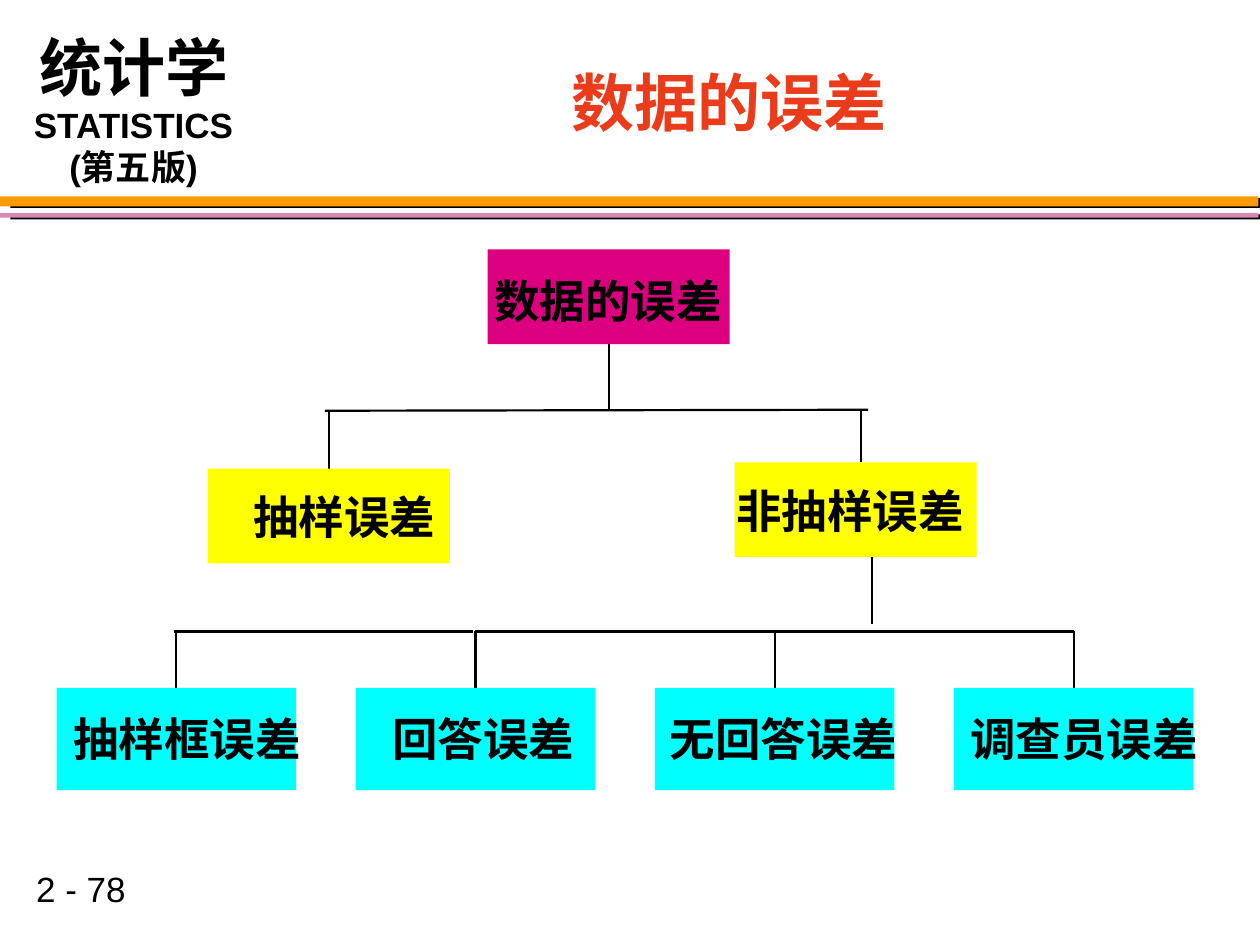
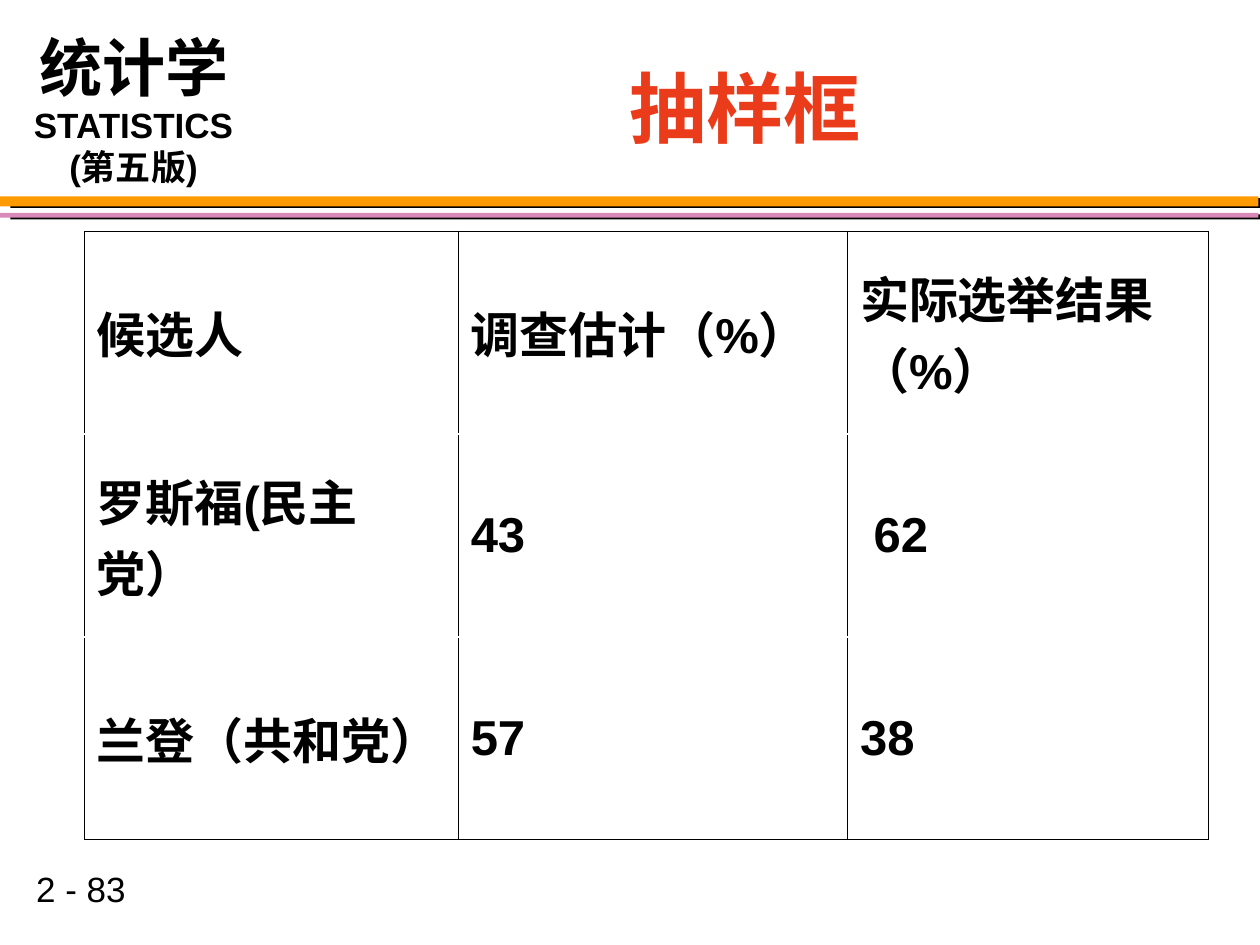
from collections import namedtuple

from lxml import etree
from pptx import Presentation
from pptx.dml.color import RGBColor
from pptx.enum.shapes import MSO_CONNECTOR, MSO_SHAPE
from pptx.enum.text import MSO_ANCHOR, PP_ALIGN
from pptx.oxml.ns import qn
from pptx.util import Cm, Pt

RECTANGLE = MSO_SHAPE.RECTANGLE
STRAIGHT = MSO_CONNECTOR.STRAIGHT
MIDDLE = MSO_ANCHOR.MIDDLE
LEFT, CENTER = PP_ALIGN.LEFT, PP_ALIGN.CENTER

COLORS = {
    "ink": "000000",
    "paper": "FFFFFF",
    "title": "EA3C1A",
    "orange": "FE9B03",
    "pink": "D989B8",
    "root": "DC0081",
    "branch": "FFFF00",
    "leaf": "00FFFF",
}
LATIN, CHINESE = "Arial", "Noto Sans CJK SC"

Box = namedtuple("Box", "left top width height")

LOGO = Box(0.43, 0.28, 4.88, 3.63)
BANDS = Box(0, 3.96, 25.37, 0.43)
NUMBER = Box(0.48, 17.35, 4.75, 1.09)
TREE = Box(1.14, 5.03, 22.92, 10.9)
TABLE = Box(1.7, 4.66, 22.65, 12.27)

LEAVES = [("抽样框误差", 0.33), ("回答误差", 0.74), ("无回答误差", 0.3), ("调查员误差", 0.33)]
CANDIDATES = [
    ["候选人", "调查估计（%）", "实际选举结果（%）"],
    ["罗斯福(民主党）", "43", "62"],
    ["兰登（共和党）", "57", "38"],
]


def lengths(box):
    """Return the sides of a box as centimetre lengths."""
    return [Cm(side) for side in box]


def write_text(frame, text, size, color="ink", bold=True, font=LATIN, align=LEFT, spacing=None):
    """Add one formatted paragraph to a text frame and return it."""
    para = frame.add_paragraph() if frame.text else frame.paragraphs[0]
    para.alignment = align
    if spacing:
        para.line_spacing = spacing
    span = para.add_run()
    span.text = text
    span.font.size = Pt(size)
    span.font.bold = bold
    span.font.color.rgb = RGBColor.from_string(COLORS[color])
    span.font.name = font
    etree.SubElement(span._r.get_or_add_rPr(), qn("a:ea"), typeface=CHINESE)
    return para


def add_frame(page, box, margins=(0.25, 0.13, 0.25, 0.13), wrap=False):
    """Add a text box and return its text frame."""
    frame = page.shapes.add_textbox(*lengths(box)).text_frame
    frame.word_wrap = wrap
    (frame.margin_left, frame.margin_top,
     frame.margin_right, frame.margin_bottom) = lengths(margins)
    return frame


def add_block(page, box, color):
    """Add a plain filled rectangle without outline or shadow."""
    block = page.shapes.add_shape(RECTANGLE, *lengths(box))
    block.shadow.inherit = False
    block.fill.solid()
    block.fill.fore_color.rgb = RGBColor.from_string(COLORS[color])
    block.line.fill.background()
    return block


def add_line(page, box, start, end):
    """Add a black line between two points measured from the box corner."""
    points = [Cm(corner + offset) for point in (start, end)
              for corner, offset in zip((box.left, box.top), point)]
    line = page.shapes.add_connector(STRAIGHT, *points)
    line.line.width = Pt(1.25)
    line.line.color.rgb = RGBColor.from_string(COLORS["ink"])
    etree.SubElement(line._element.spPr, qn("a:effectLst"))


def add_bands(page, box):
    """Add the two shadowed bands under the header."""
    for offset, height, color in ((0, 0.2, "orange"), (0.33, 0.1, "pink")):
        band = add_block(page, Box(box.left, box.top + offset, box.width, height), color)
        effects = band._element.spPr.find(qn("a:effectLst"))
        shadow = etree.SubElement(effects, qn("a:outerShdw"), dist=str(Pt(6.1)),
                                  dir=str(9 * 60000), algn="ctr", rotWithShape="0")
        etree.SubElement(shadow, qn("a:srgbClr"), val=COLORS["ink"])


def add_logo(page, box):
    """Add the course name in the top left corner."""
    frame = add_frame(page, box, margins=(0.25, 0.29, 0.25, 0.13), wrap=True)
    name = write_text(frame, "统计学", size=36, align=CENTER)
    name._p.get_or_add_pPr().set("marR", str(Pt(10)))
    for text in ("STATISTICS", "(第五版)"):
        write_text(frame, text, size=20, align=CENTER)


def add_page(deck, title, title_box, number, size, font=LATIN):
    """Add a page with its title and the shared header and footer."""
    page = deck.slides.add_slide(deck.slide_layouts[5])
    heading = page.shapes.title
    heading.left, heading.top, heading.width, heading.height = lengths(title_box)
    heading.text_frame.vertical_anchor = MIDDLE
    write_text(heading.text_frame, title, size=size, color="title", font=font,
               align=CENTER, spacing=0.95)
    add_bands(page, BANDS)
    add_logo(page, LOGO)
    write_text(add_frame(page, NUMBER), number, size=20, bold=False)
    return page


def add_node(page, box, text, color, indent, drop, font=CHINESE):
    """Add a coloured node with its label at an offset from the corner."""
    add_block(page, box, color)
    label = Box(box.left + indent, box.top + drop, 0.92 * len(text), 1.09)
    frame = add_frame(page, label, margins=(0, 0, 0, 0))
    write_text(frame, text, size=26, font=font, align=CENTER)


def add_tree(page, box):
    """Add the tree of error types with its connecting lines."""
    node_width, node_height, leaf_width, leaf_height = 4.88, 1.91, 4.83, 2.06
    leaf_top, leaf_bar = box.height - leaf_height, 7.7
    step = (box.width - leaf_width) / (len(LEAVES) - 1)
    centers = [leaf_width / 2 + step * column for column in range(len(LEAVES))]

    lines = [
        ((11.13, node_height), (11.13, 3.25)),
        ((5.49, 3.25), (5.49, 4.42)),
        ((16.21, 3.23), (16.21, 4.29)),
        ((5.41, 3.25), (16.36, 3.23)),
        ((16.44, 6.2), (16.44, 7.54)),
    ]
    lines += [((center, leaf_bar), (center, leaf_top)) for center in centers]
    bars = [(2.36, 8.39), (centers[1], 11.56), (11.56, centers[2]), (centers[2], centers[3])]
    lines += [((start, leaf_bar), (end, leaf_bar)) for start, end in bars]
    for start, end in lines:
        add_line(page, box, start, end)

    nodes = [
        ("抽样误差", "branch", 3.05, 4.42, 0.91, 0.41),
        ("非抽样误差", "branch", 13.67, 4.29, 0.03, 0.41),
        ("数据的误差", "root", 8.69, 0, 0.13, 0.48),
    ]
    for text, color, left, top, indent, drop in nodes:
        place = Box(box.left + left, box.top + top, node_width, node_height)
        add_node(page, place, text, color, indent, drop)
    for column, (text, indent) in enumerate(LEAVES):
        place = Box(box.left + step * column, box.top + leaf_top, leaf_width, leaf_height)
        add_node(page, place, text, "leaf", indent, 0.46, font=LATIN)


def set_border(cell, side, color, width):
    """Draw one border of a table cell."""
    border = etree.SubElement(cell._tc.get_or_add_tcPr(), qn(f"a:ln{side}"), w=str(Pt(width)))
    fill = etree.SubElement(border, qn("a:solidFill"))
    etree.SubElement(fill, qn("a:srgbClr"), val=COLORS[color])


def add_results(page, box):
    """Add the table of estimated and actual election results."""
    last = len(CANDIDATES) - 1
    table = page.shapes.add_table(len(CANDIDATES), len(CANDIDATES[0]), *lengths(box)).table
    table.first_row = table.horz_banding = False
    for column, width in zip(table.columns, (7.54, 7.85, 7.26)):
        column.width = Cm(width)
    outer, inner = ("ink", 0.45), ("paper", 1.08)
    for row, texts in enumerate(CANDIDATES):
        for column, text in enumerate(texts):
            cell = table.cell(row, column)
            borders = {"L": outer, "R": outer,
                       "T": inner if row else outer,
                       "B": inner if row < last else outer}
            for side, (color, width) in borders.items():
                set_border(cell, side, color, width)
            cell.fill.background()
            cell.vertical_anchor = MIDDLE
            cell.margin_left = Cm(0.52 if text == "62" else 0.25)
            write_text(cell.text_frame, text, size=28)


def main():
    """Build the deck and save it."""
    deck = Presentation()
    deck.slide_width, deck.slide_height = Cm(25.4), Cm(19.05)
    page = add_page(deck, "数据的误差", Box(5.28, 0.64, 18.85, 2.97), "2 - 78", size=36)
    add_tree(page, TREE)
    page = add_page(deck, "抽样框", Box(5.08, 0.43, 19.89, 3.61), "2 - 83", size=44,
                    font="Cambria")
    add_results(page, TABLE)
    deck.save("out.pptx")


if __name__ == "__main__":
    main()
